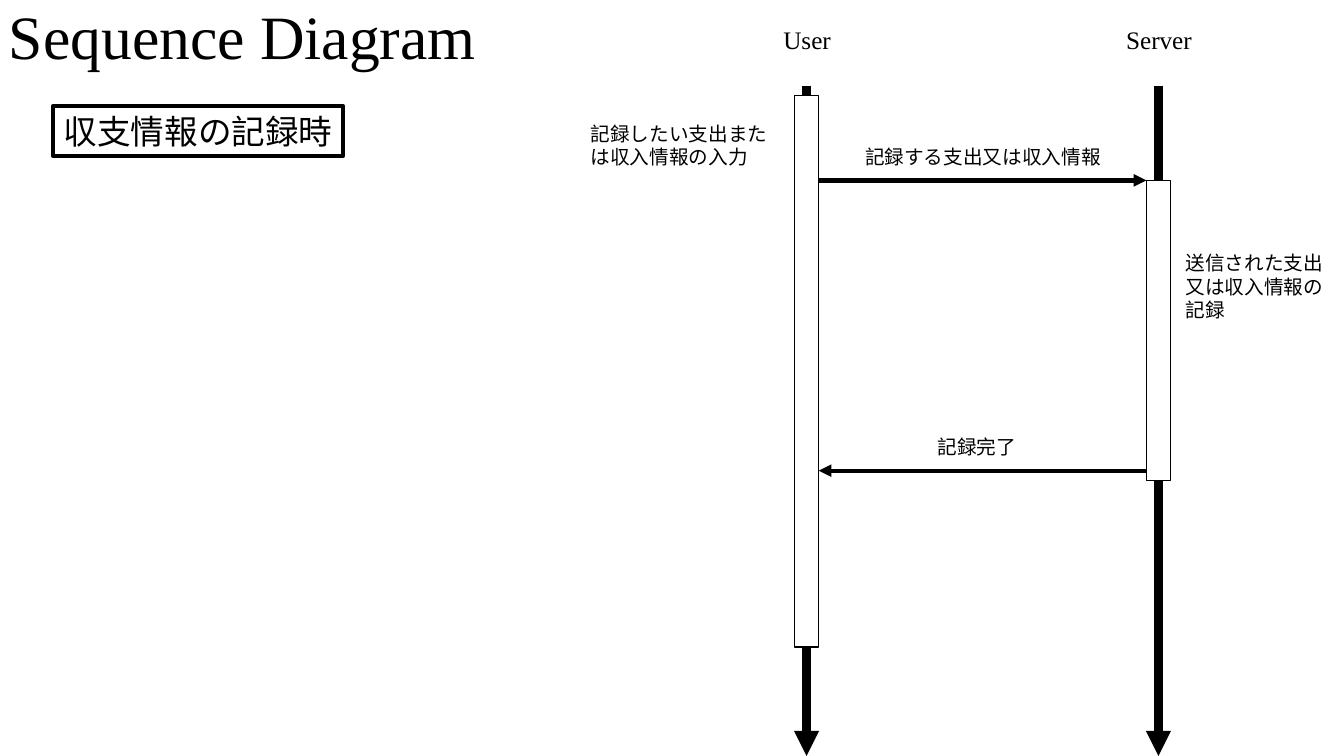
import pptx
import pptx.util
import pptx.dml.color
import pptx.enum.shapes
import pptx.enum.text
import pptx.oxml.ns
from lxml import etree

# Content: lengths in inches
BLACK = pptx.dml.color.RGBColor(0, 0, 0)
WHITE = pptx.dml.color.RGBColor(255, 255, 255)
FONT = "Times New Roman"
WIDTH, HEIGHT = 13.33, 7.5
LIFELINE_TOP = 0.85
BAR_WIDTH = 0.24
LABEL_WIDTH, LABEL_HEIGHT, LABEL_RISE = 2.66, 0.34, 0.4

TITLE = "Sequence Diagram"
SCENARIO = "収支情報の記録時"
# name, lifeline x, activation top, activation height
ACTORS = [("User", 8.0, 0.95, 5.47), ("Server", 11.49, 1.79, 2.98)]
# text, sender, receiver, y, label centre x
MESSAGES = [
    ("記録する支出又は収入情報", 0, 1, 1.79, 9.75),
    ("記録完了", 1, 0, 4.67, 9.69),
]
# text, left, top, width, height
NOTES = [
    ("送信された支出又は収入情報の記録", 11.66, 2.44, 1.68, 0.81),
    ("記録したい支出または収入情報の入力", 5.76, 1.16, 2.04, 0.57),
]

ALIGN = pptx.enum.text.PP_ALIGN
ANCHOR = pptx.enum.text.MSO_ANCHOR
RECTANGLE = pptx.enum.shapes.MSO_SHAPE.RECTANGLE
STRAIGHT = pptx.enum.shapes.MSO_CONNECTOR.STRAIGHT


def inches(*lengths):
    return [pptx.util.Inches(n) for n in lengths]


def write(sp, text, size, align=ALIGN.LEFT, anchor=ANCHOR.TOP):
    tf = sp.text_frame
    tf.word_wrap = True
    tf.vertical_anchor = anchor
    p = tf.paragraphs[0]
    p.text = text
    p.alignment = align
    p.font.name = FONT
    p.font.size = pptx.util.Pt(size)
    p.font.color.rgb = BLACK
    return p


def add_text(slide, box, *style):
    return write(slide.shapes.add_textbox(*inches(*box)), *style)


def add_box(slide, box, weight):
    sp = slide.shapes.add_shape(RECTANGLE, *inches(*box))
    sp.shadow.inherit = False
    sp.line.color.rgb = BLACK
    sp.line.width = pptx.util.Pt(weight)
    return sp


def add_arrow(slide, x1, y1, x2, y2, weight):
    line = slide.shapes.add_connector(STRAIGHT, *inches(x1, y1, x2, y2))
    line.line.color.rgb = BLACK
    line.line.width = pptx.util.Pt(weight)
    qn = pptx.oxml.ns.qn
    sp_pr = line._element.spPr
    etree.SubElement(sp_pr.find(qn("a:ln")), qn("a:tailEnd"), type="triangle")
    etree.SubElement(sp_pr, qn("a:effectLst"))


def main():
    prs = pptx.Presentation()
    prs.slide_width, prs.slide_height = inches(WIDTH, HEIGHT)
    slide = prs.slides.add_slide(prs.slide_layouts[6])

    # Title and scenario
    p = add_text(slide, (-0.01, -0.33, 11.5, 1.45), TITLE, 44, ALIGN.LEFT, ANCHOR.MIDDLE)
    p.line_spacing = 0.9
    sp = add_box(slide, (0.53, 1.05, 2.87, 0.5), 3)
    sp.fill.background()
    write(sp, SCENARIO, 24, ALIGN.CENTER)

    # Lifelines with names and activation bars
    for name, x, top, height in ACTORS:
        add_arrow(slide, x, LIFELINE_TOP, x, HEIGHT, 6)
        add_text(slide, (x - 1.19, 0.19, 2.39, 0.4), name, 18, ALIGN.CENTER)
        bar = add_box(slide, (x - BAR_WIDTH / 2, top, BAR_WIDTH, height), 1)
        bar.fill.solid()
        bar.fill.fore_color.rgb = WHITE

    # Messages run between the facing edges of the bars
    for text, sender, receiver, y, centre in MESSAGES:
        start, end = ACTORS[sender][1], ACTORS[receiver][1]
        edge = BAR_WIDTH / 2 if start < end else -BAR_WIDTH / 2
        add_arrow(slide, start + edge, y, end - edge, y, 3)
        label = (centre - LABEL_WIDTH / 2, y - LABEL_RISE, LABEL_WIDTH, LABEL_HEIGHT)
        add_text(slide, label, text, 14, ALIGN.CENTER)

    # Notes beside the bars
    for text, *box in NOTES:
        add_text(slide, box, text, 14)

    prs.save("out.pptx")


if __name__ == "__main__":
    main()
